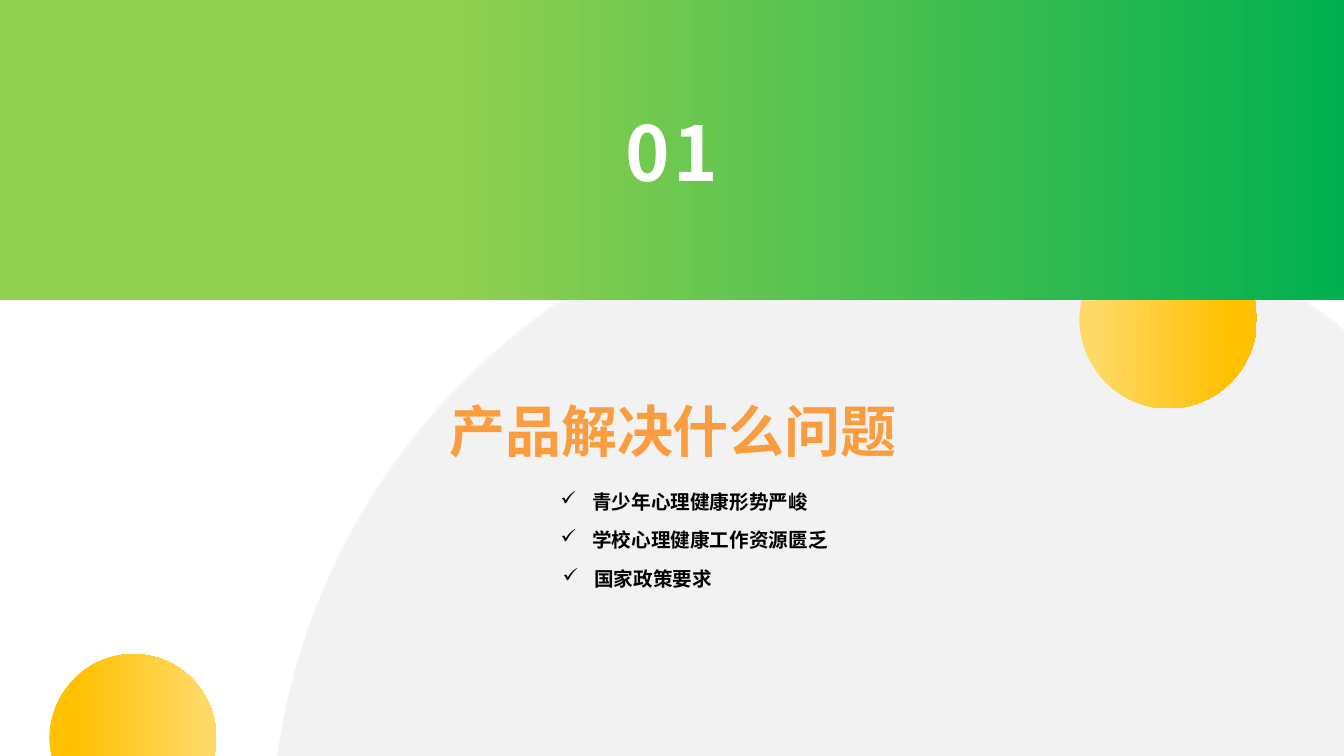
from lxml import etree
from pptx import Presentation
from pptx.dml.color import RGBColor
from pptx.enum.shapes import MSO_SHAPE
from pptx.enum.text import MSO_AUTO_SIZE, PP_ALIGN
from pptx.oxml.ns import qn
from pptx.util import Emu, Pt

RECTANGLE = MSO_SHAPE.RECTANGLE
FIT_SHAPE = MSO_AUTO_SIZE.SHAPE_TO_FIT_TEXT
CENTER, LEFT = PP_ALIGN.CENTER, PP_ALIGN.LEFT

PX = 9525
WIDTH, HEIGHT = 1280, 720
BAND_HEIGHT = 286
FONT = "Noto Sans CJK SC"
COLORS = {
    "white": "FFFFFF", "black": "000000", "orange": "FB9C3E", "grey": "F2F2F2",
    "lime": "92D050", "green": "00B050", "pale": "FFD966", "gold": "FFC000",
}
TOPICS = [
    ("青少年心理健康形势严峻", (527, 463, 253, 30)),
    ("学校心理健康工作资源匮乏", (527, 499, 271, 30)),
    ("国家政策要求", (529, 536, 158, 30)),
]
BACKDROP = [
    [(1019, 543)], [(1019, 139)],
    [(911, 51), (774, 0), (624, 0)],
    [(305, 0), (42, 237), (0, 543)],
]
LOWER_BALL = [
    [(159, 80)],
    [(159, 36), (124, 0), (80, 0)],
    [(36, 0), (0, 36), (0, 80)],
    [(0, 86), (1, 92), (2, 97)],
    [(157, 97)],
    [(158, 92), (159, 86), (159, 80)],
]
UPPER_BALL = [
    [(0, 18)],
    [(0, 64), (38, 103), (85, 103)],
    [(132, 103), (169, 64), (169, 18)],
    [(169, 12), (169, 6), (167, 0)],
    [(2, 0)],
    [(1, 6), (0, 12), (0, 18)],
]


def px(length):
    return Emu(length * PX)


def color(name):
    return RGBColor.from_string(COLORS[name])


def fill_gradient(shape, stops):
    shape.fill.gradient()
    shape.fill.gradient_angle = 0
    for stop, (position, name) in zip(shape.fill.gradient_stops, stops):
        stop.position = position
        stop.color.rgb = color(name)


def strip_outline(shape):
    shape.shadow.inherit = False
    shape.line.fill.background()


def add_curved_shape(slide, left, top, outline):
    ends = [segment[-1] for segment in outline]
    builder = slide.shapes.build_freeform(*ends[0], scale=PX)
    builder.add_line_segments(ends[1:], close=True)
    shape = builder.convert_to_shape(px(left), px(top))
    lines = list(shape._element.iter(qn("a:lnTo")))
    for line, segment in zip(lines, outline[1:]):
        if len(segment) == 3:
            curve = etree.Element(qn("a:cubicBezTo"))
            for x, y in segment:
                etree.SubElement(curve, qn("a:pt"), x=str(x), y=str(y))
            line.getparent().replace(line, curve)
    strip_outline(shape)
    return shape


def add_text(slide, box, text, size, color_name, align=CENTER, spacing=0, bullet=None):
    shape = slide.shapes.add_textbox(*map(px, box))
    frame = shape.text_frame
    frame.auto_size = FIT_SHAPE
    frame.word_wrap = bullet is None
    paragraph = frame.paragraphs[0]
    paragraph.text = text
    paragraph.alignment = align
    properties = paragraph._p.get_or_add_pPr()
    if bullet:
        frame.margin_left = frame.margin_right = px(7)
        frame.margin_top = frame.margin_bottom = px(4)
        properties.set("marL", str(px(30)))
        properties.set("indent", str(-px(30)))
        etree.SubElement(properties, qn("a:buChar"), char=bullet)
    font = paragraph.font
    font.name, font.size, font.bold = FONT, Pt(size), True
    font.color.rgb = color(color_name)
    defaults = properties.find(qn("a:defRPr"))
    etree.SubElement(defaults, qn("a:ea"), typeface=FONT)
    if spacing:
        defaults.set("spc", str(spacing * 100))


def add_backdrop(slide, left, top):
    shape = add_curved_shape(slide, left, top, BACKDROP)
    shape.fill.solid()
    shape.fill.fore_color.rgb = color("grey")
    fill_color = shape._element.spPr.find(".//" + qn("a:srgbClr"))
    etree.SubElement(fill_color, qn("a:alpha"), val="70000")


def add_band(slide, left, top, width, height):
    band = slide.shapes.add_shape(RECTANGLE, *map(px, (left, top, width, height)))
    strip_outline(band)
    fill_gradient(band, [(0.33, "lime"), (1, "green")])
    add_text(slide, (left, top + 96, width, 97), "01", 54, "white", spacing=3)


def add_ball(slide, left, top, outline, stops):
    fill_gradient(add_curved_shape(slide, left, top, outline), stops)


def add_topics(slide):
    for topic, box in TOPICS:
        add_text(slide, box, topic, 14, "black", align=LEFT, bullet="✓")


def build_section_slide(presentation):
    slide = presentation.slides.add_slide(presentation.slide_layouts[6])
    for top in (180, 177):
        add_backdrop(slide, 264, top)
    add_band(slide, 0, 0, WIDTH, BAND_HEIGHT)
    add_text(slide, (388, 373, 506, 74), "产品解决什么问题", 40, "orange")
    add_ball(slide, 47, HEIGHT - 97, LOWER_BALL, [(0.15, "gold"), (0.92, "pale")])
    add_ball(slide, 1028, BAND_HEIGHT, UPPER_BALL, [(0.08, "pale"), (0.85, "gold")])
    add_topics(slide)


def main():
    presentation = Presentation()
    presentation.slide_width, presentation.slide_height = px(WIDTH), px(HEIGHT)
    build_section_slide(presentation)
    presentation.save("out.pptx")


if __name__ == "__main__":
    main()
